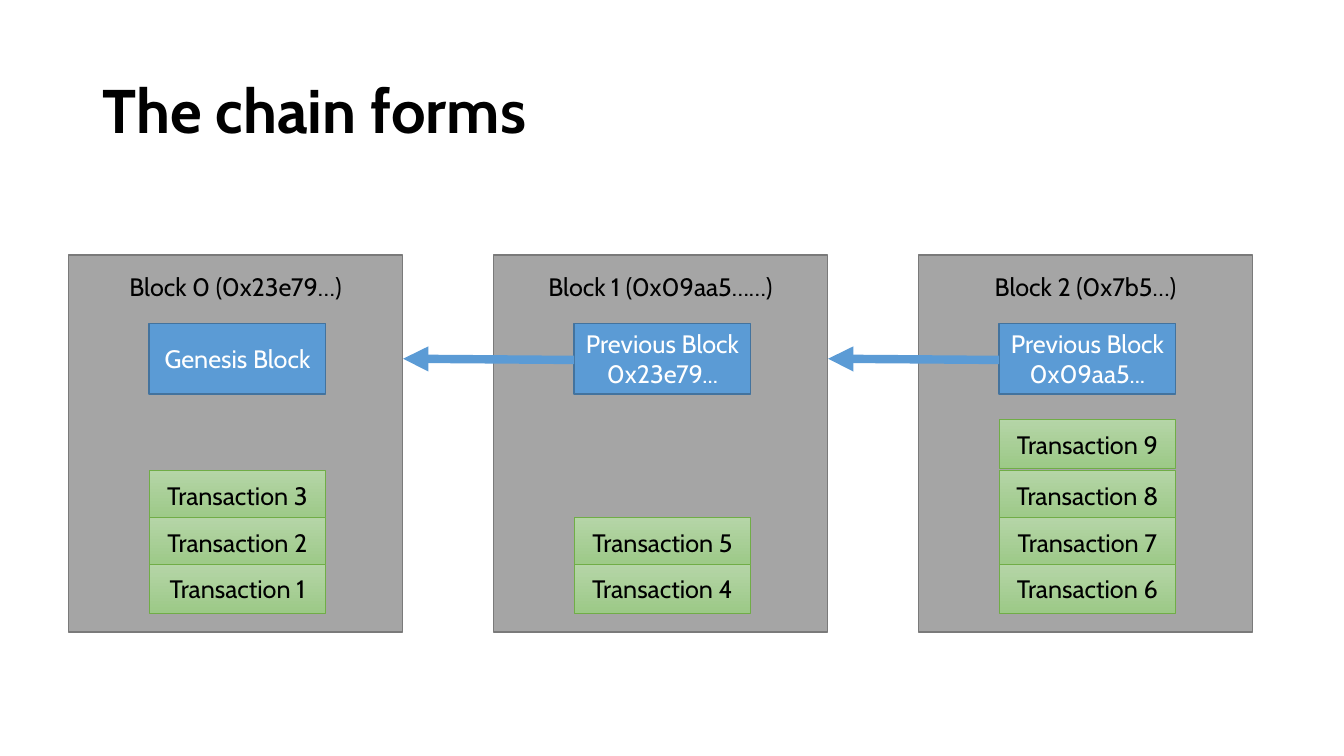
from dataclasses import dataclass
from lxml import etree
from pptx import Presentation
from pptx import util as u
from pptx.dml.color import RGBColor
from pptx.enum import shapes, text
from pptx.oxml import ns


@dataclass(frozen=True)
class Theme:
    font: str = "Cabin"
    title: int = 44
    body: int = 18
    dark: str = "000000"
    light: str = "FFFFFF"
    gray: str = "A5A5A5"
    rim: str = "7A7A7A"
    blue: str = "5B9BD5"
    navy: str = "43739E"
    green: str = "70AD47"
    fade: tuple = ("B5D5A7", "9CC987")


class Deck:
    def __init__(self, theme):
        self.theme = theme
        self.prs = Presentation()
        self.prs.slide_width = u.Cm(33.87)
        self.prs.slide_height = u.Cm(19.05)
        self.slide = self.prs.slides.add_slide(self.prs.slide_layouts[6])
        self.layer = self.slide.shapes

    def group(self):
        self.layer = self.slide.shapes.add_group_shape().shapes

    def letter(self, shape, words, color, size, align, bold=False):
        frame = shape.text_frame
        frame.word_wrap = True
        frame.text = words
        for para in frame.paragraphs:
            para.alignment = align
            para.font.name = self.theme.font
            para.font.size = u.Pt(size)
            para.font.bold = bold
            para.font.color.rgb = RGBColor.from_string(color)
        return frame

    def title(self, words, *box):
        shape = self.slide.shapes.add_textbox(*map(u.Cm, box))
        frame = self.letter(shape, words, self.theme.dark, self.theme.title,
                            text.PP_ALIGN.LEFT, True)
        frame.vertical_anchor = text.MSO_ANCHOR.MIDDLE
        frame.paragraphs[0].line_spacing = 0.9

    def label(self, words, *box):
        shape = self.layer.add_textbox(*map(u.Cm, box))
        self.letter(shape, words, self.theme.dark, self.theme.body,
                    text.PP_ALIGN.CENTER)

    def box(self, fill, line, width, *box, words="", color=Theme.dark):
        shape = self.layer.add_shape(shapes.MSO_SHAPE.RECTANGLE,
                                     *map(u.Cm, box))
        shape.shadow.inherit = False
        if isinstance(fill, tuple):
            shape.fill.gradient()
            shape.fill.gradient_angle = 270
            for stop, tone in zip(shape.fill.gradient_stops, fill):
                stop.color.rgb = RGBColor.from_string(tone)
        else:
            shape.fill.solid()
            shape.fill.fore_color.rgb = RGBColor.from_string(fill)
        shape.line.color.rgb = RGBColor.from_string(line)
        shape.line.width = u.Pt(width)
        if words:
            frame = self.letter(shape, words, color, self.theme.body,
                                text.PP_ALIGN.CENTER)
            frame.vertical_anchor = text.MSO_ANCHOR.MIDDLE
            frame.margin_top = frame.margin_bottom = u.Cm(0.25)

    def arrow(self, *ends):
        link = self.layer.add_connector(shapes.MSO_CONNECTOR.STRAIGHT,
                                        *map(u.Cm, ends))
        link.line.color.rgb = RGBColor.from_string(self.theme.blue)
        link.line.width = u.Pt(6)
        props = link._element.spPr
        tip = etree.SubElement(props.get_or_add_ln(), ns.qn("a:tailEnd"))
        tip.set("type", "triangle")
        etree.SubElement(props, ns.qn("a:effectLst"))


LEFT, TOP, WIDE, HIGH, PITCH = 1.73, 6.43, 8.41, 9.5, 10.71
INSET, CARD = 2.03, 4.45
ROWS = (14.22, 13.04, 11.86, 10.57)
BLOCKS = (
    ("Block 0 (0x23e79…)", 6.12, "Genesis Block", (1, 2, 3)),
    ("Block 1 (0x09aa5……)", 6.76, "Previous Block\n0x23e79...", (4, 5)),
    ("Block 2 (0x7b5…)", 5.16, "Previous Block\n0x09aa5...", (6, 7, 8, 9)),
)


def main():
    theme = Theme()
    deck = Deck(theme)
    for i, (name, span, head, items) in reversed(list(enumerate(BLOCKS))):
        x = LEFT + i * PITCH
        card = x + INSET
        deck.group()
        deck.box(theme.gray, theme.rim, 1, x, TOP, WIDE, HIGH)
        deck.label(name, x + (WIDE - span) / 2, 6.72, span, 1.03)
        for item, y in reversed(list(zip(items, ROWS))):
            deck.box(theme.fade, theme.green, 0.5, card, y, CARD, 1.24,
                     words=f"Transaction {item}")
        deck.box(theme.blue, theme.navy, 1, card, 8.15, CARD, 1.78,
                 words=head, color=theme.light)
        if i:
            deck.arrow(card, 9.07, x - PITCH + WIDE + 0.02, 9.04)
    deck.title("The chain forms", 2.33, 1.01, 29.21, 3.68)
    deck.prs.save("out.pptx")


if __name__ == "__main__":
    main()
